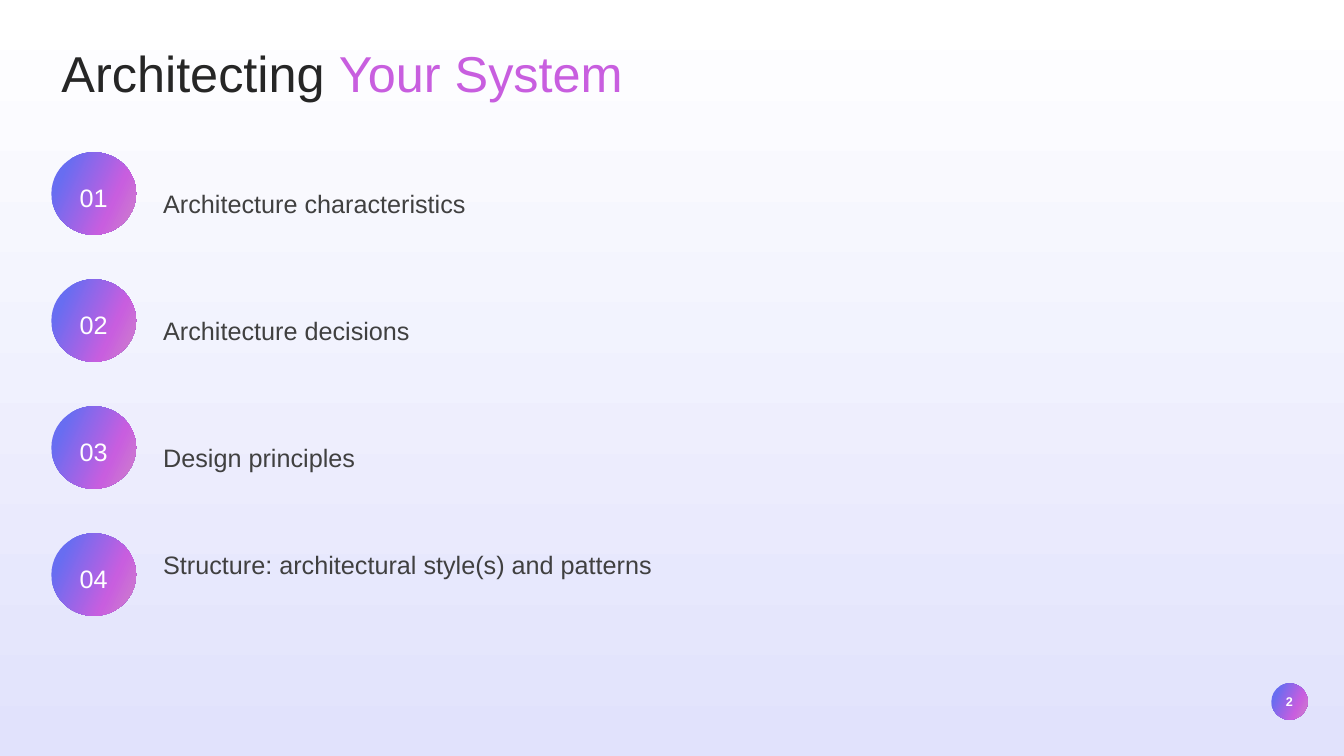
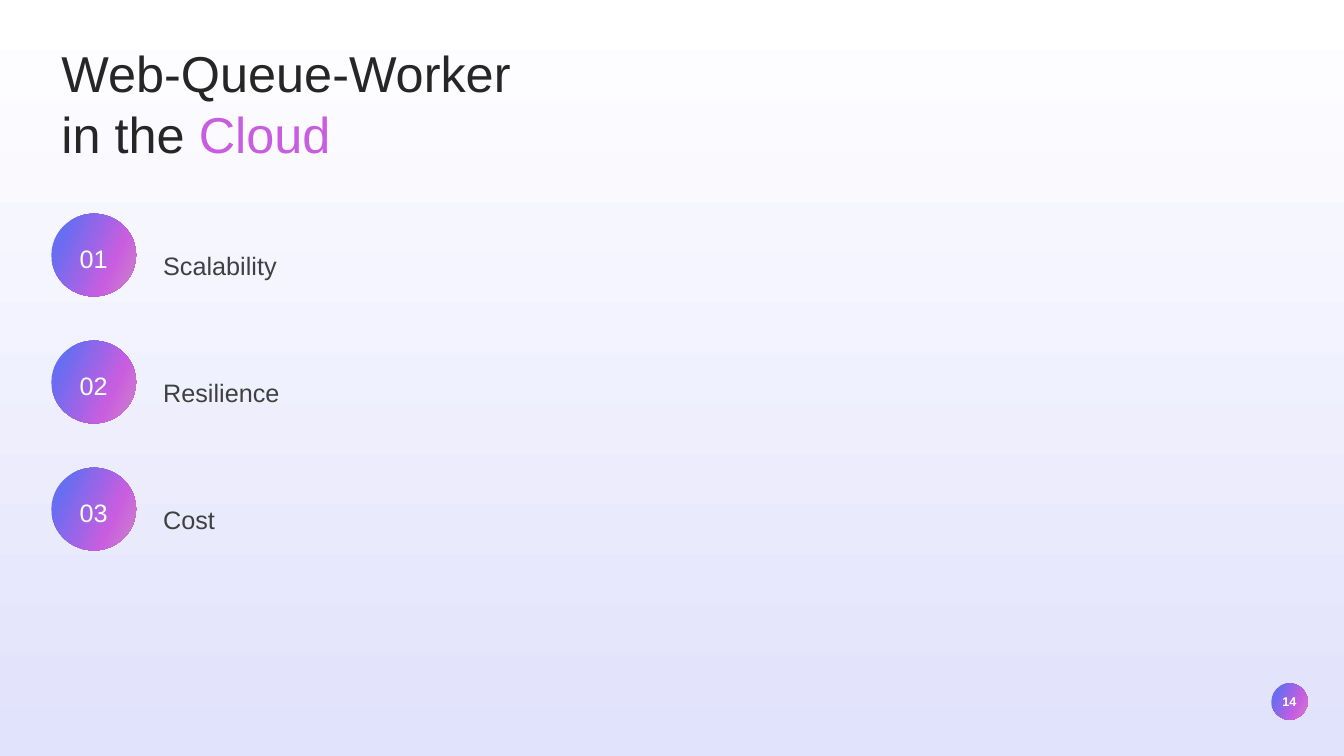
"""Builds two numbered-list slides on a soft lilac gradient."""
from lxml.etree import SubElement
from pptx import Presentation
from pptx.dml.color import RGBColor
from pptx.enum.shapes import MSO_SHAPE
from pptx.enum.text import MSO_ANCHOR, MSO_AUTO_SIZE, PP_ALIGN
from pptx.oxml.ns import qn
from pptx.util import Pt

PX = 9144
FONT = "Arial"
WHITE = RGBColor(0xFF, 0xFF, 0xFF)
LILAC = RGBColor(0xE1, 0xE2, 0xFC)
INK = RGBColor(0x26, 0x26, 0x26)
GREY = RGBColor(0x40, 0x40, 0x40)
PERIWINKLE = RGBColor(0x68, 0x6D, 0xF1)
BLUE = RGBColor(0x19, 0x21, 0xEA)
ORCHID = RGBColor(0xC8, 0x5E, 0xDF)
PINK = RGBColor(0xCE, 0x84, 0xCA)

PAGE_STOPS = [(0, WHITE), (100, LILAC)]
CIRCLE_STOPS = [(17, PERIWINKLE), (69, ORCHID), (100, PINK)]
ACCENT_STOPS = [(17, BLUE), (69, ORCHID), (100, PINK)]
ACCENT_ANGLE = 25
ROW_PITCH = 126
LABEL_DROP = 22


def px(*lengths):
    return [n * PX for n in lengths]


def gradient(fill, host, stops, angle):
    fill.gradient()
    fill.gradient_angle = 360 - angle
    stop_list = host.find(".//" + qn("a:gsLst"))
    for old in list(stop_list):
        stop_list.remove(old)
    for pos, color in stops:
        gs = SubElement(stop_list, qn("a:gs"), pos=str(pos * 1000))
        SubElement(gs, qn("a:srgbClr"), val=str(color))


class Deck:
    def __init__(self):
        self.prs = Presentation()
        self.prs.slide_width, self.prs.slide_height = px(1333, 750)
        master = self.prs.slide_master
        gradient(master.background.fill, master.element, PAGE_STOPS, 90)
        self.s = None

    def slide(self, page):
        self.s = self.prs.slides.add_slide(self.prs.slide_layouts[5])
        self.circle(1261, 678, 36, 36, str(page), 9, bold=True)

    def style(self, p, size, color, align=PP_ALIGN.LEFT, bold=False):
        p.alignment = align
        for r in p.runs:
            r.font.name, r.font.size, r.font.bold = FONT, Pt(size), bold
            r.font.color.rgb = color

    def title(self, lead, accent, width, height):
        sp = self.s.shapes.title
        sp.left, sp.top, sp.width, sp.height = px(51, 37, width, height)
        tf = sp.text_frame
        tf.vertical_anchor = MSO_ANCHOR.TOP
        tf.auto_size = MSO_AUTO_SIZE.NONE
        p = tf.paragraphs[0]
        p.text = lead
        r = p.add_run()
        r.text = accent
        self.style(p, 36, INK)
        gradient(r.font.fill, r._r, ACCENT_STOPS, ACCENT_ANGLE)

    def circle(self, x, y, w, h, text, size, bold=False, insets=(0, 0)):
        sp = self.s.shapes.add_shape(MSO_SHAPE.OVAL, *px(x, y, w, h))
        sp.shadow.inherit = False
        sp.line.fill.background()
        gradient(sp.fill, sp.element, CIRCLE_STOPS, ACCENT_ANGLE)
        tf = sp.text_frame
        tf.text = text
        tf.word_wrap = False
        tf.vertical_anchor = MSO_ANCHOR.MIDDLE
        tf.margin_left = tf.margin_right = 0
        tf.margin_top, tf.margin_bottom = px(*insets)
        self.style(tf.paragraphs[0], size, WHITE, PP_ALIGN.CENTER, bold)

    def label(self, y, text, height):
        sp = self.s.shapes.add_textbox(*px(152, y, 508, height))
        tf = sp.text_frame
        tf.word_wrap = True
        tf.text = text
        p = tf.paragraphs[0]
        p.line_spacing = 1.3
        p.space_after = Pt(8)
        self.style(p, 18, GREY)

    def rows(self, top, labels, raised=()):
        for i, text in enumerate(labels):
            y = top + i * ROW_PITCH
            drop, height = (2, 87) if i in raised else (LABEL_DROP, 47)
            self.label(y + drop, text, height)
            self.circle(51, y, 84, 82, f"{i + 1:02}", 18, insets=(12, 5))


def main():
    deck = Deck()

    deck.slide(2)
    deck.title("Architecting ", "Your System", 624, 71)
    deck.rows(151, ["Architecture characteristics", "Architecture decisions",
                    "Design principles",
                    "Structure: architectural style(s) and patterns"], raised=(3,))

    deck.slide(14)
    deck.title("Web-Queue-Worker\vin the ", "Cloud", 651, 131)
    deck.rows(212, ["Scalability", "Resilience", "Cost"])

    deck.prs.save("out.pptx")


if __name__ == "__main__":
    main()
